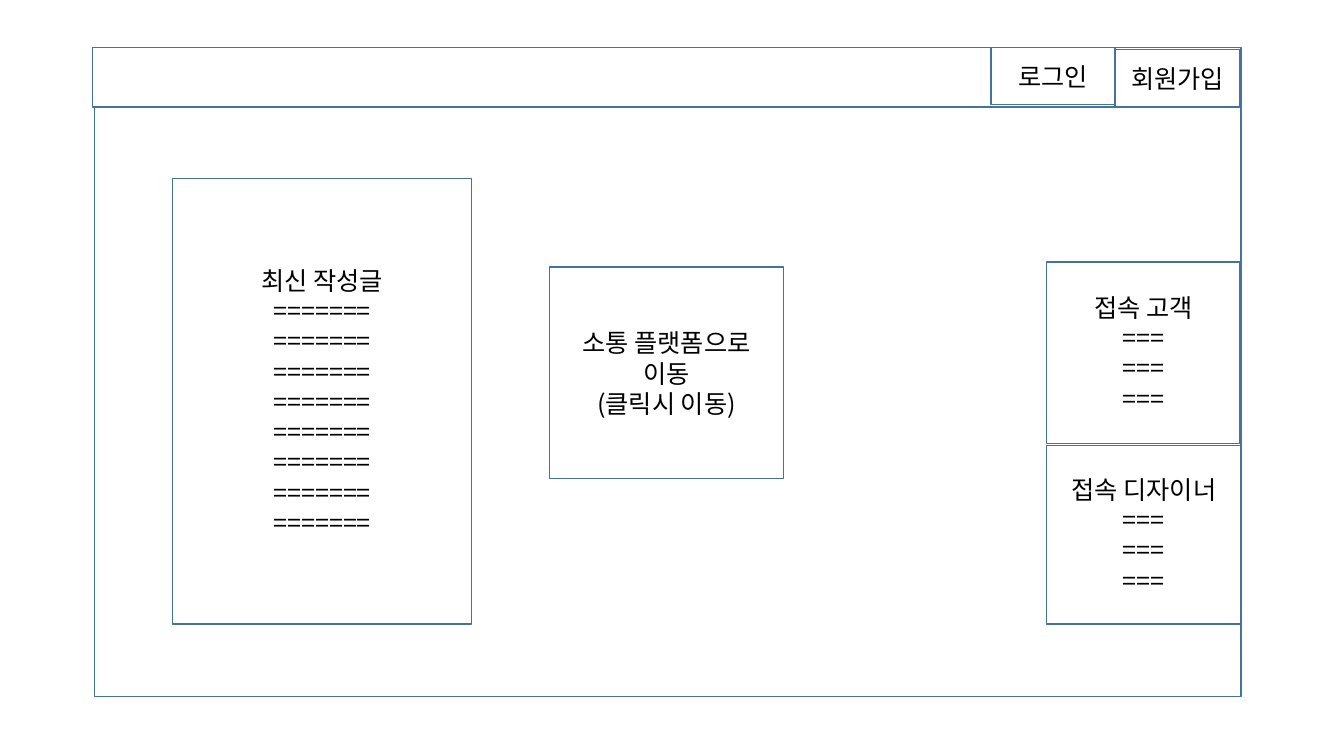
import pptx
import pptx.dml.color
import pptx.enum.shapes
import pptx.enum.text
import pptx.oxml.ns
import pptx.util
from lxml import etree

Inches = pptx.util.Inches
FACE = "Noto Sans CJK KR"


def paint(fmt, color):
    """Give a fill or font colour format a hex colour."""
    fmt.rgb = pptx.dml.color.RGBColor.from_string(color)


deck = pptx.Presentation()
deck.slide_width = Inches(13.33)
deck.slide_height = Inches(7.5)
slide = deck.slides.add_slide(deck.slide_layouts[6])

# Left, top, width, height, fill, lines of text; from back to front
boxes = [
    (0.94, 0.49, 11.37, 6.42, True, []),
    (0.92, 0.47, 11.39, 0.59, True, []),
    (11.06, 0.49, 1.24, 0.57, True, ["회원가입"]),
    (9.83, 0.47, 1.23, 0.57, True, ["로그인"]),
    (5.45, 2.65, 2.32, 2.1, False, ["소통 플랫폼으로 이동", "(클릭시 이동)"]),
    (1.71, 1.77, 2.97, 4.42, True, ["최신 작성글"] + ["=" * 7] * 8),
    (10.38, 4.42, 1.93, 1.77, True, ["접속 디자이너"] + ["=" * 3] * 3),
    (10.38, 2.6, 1.92, 1.8, True, ["접속 고객"] + ["=" * 3] * 3),
]
style = {"size": pptx.util.Pt(18), "name": FACE}

for left, top, width, height, filled, lines in boxes:
    box = slide.shapes.add_shape(
        pptx.enum.shapes.MSO_SHAPE.RECTANGLE,
        Inches(left), Inches(top), Inches(width), Inches(height))
    box.shadow.inherit = False
    if filled:
        box.fill.solid()
        paint(box.fill.fore_color, "FFFFFF")
    else:
        box.fill.background()
    paint(box.line.color, "43739E")
    box.line.width = pptx.util.Pt(1)

    frame = box.text_frame
    frame.word_wrap = True
    frame.vertical_anchor = pptx.enum.text.MSO_ANCHOR.MIDDLE
    for index, line in enumerate(lines):
        para = frame.add_paragraph() if index else frame.paragraphs[0]
        para.alignment = pptx.enum.text.PP_ALIGN.CENTER
        run = para.add_run()
        run.text = line
        for key, value in style.items():
            setattr(run.font, key, value)
        paint(run.font.color, "000000")
        # Hangul takes its typeface from the East Asian font
        etree.SubElement(run._r.get_or_add_rPr(),
                         pptx.oxml.ns.qn("a:ea"), typeface=FACE)

deck.save("out.pptx")
